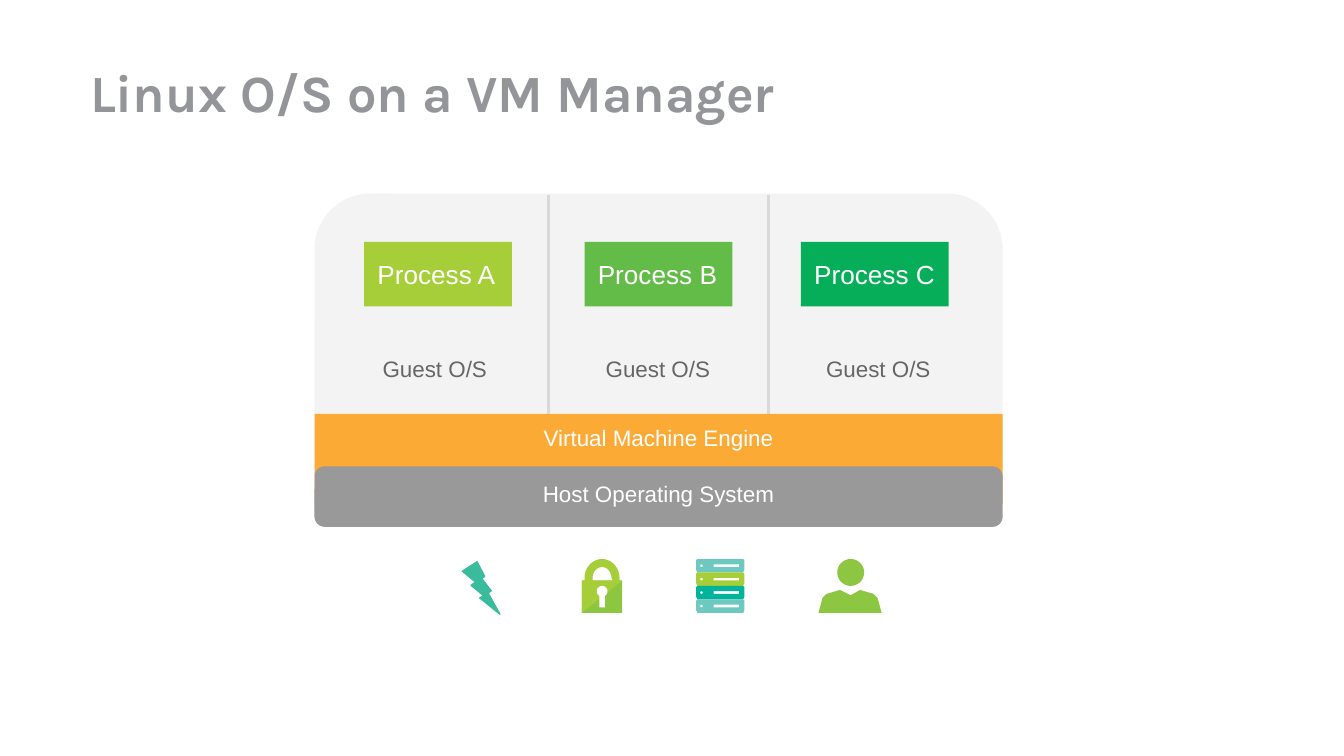
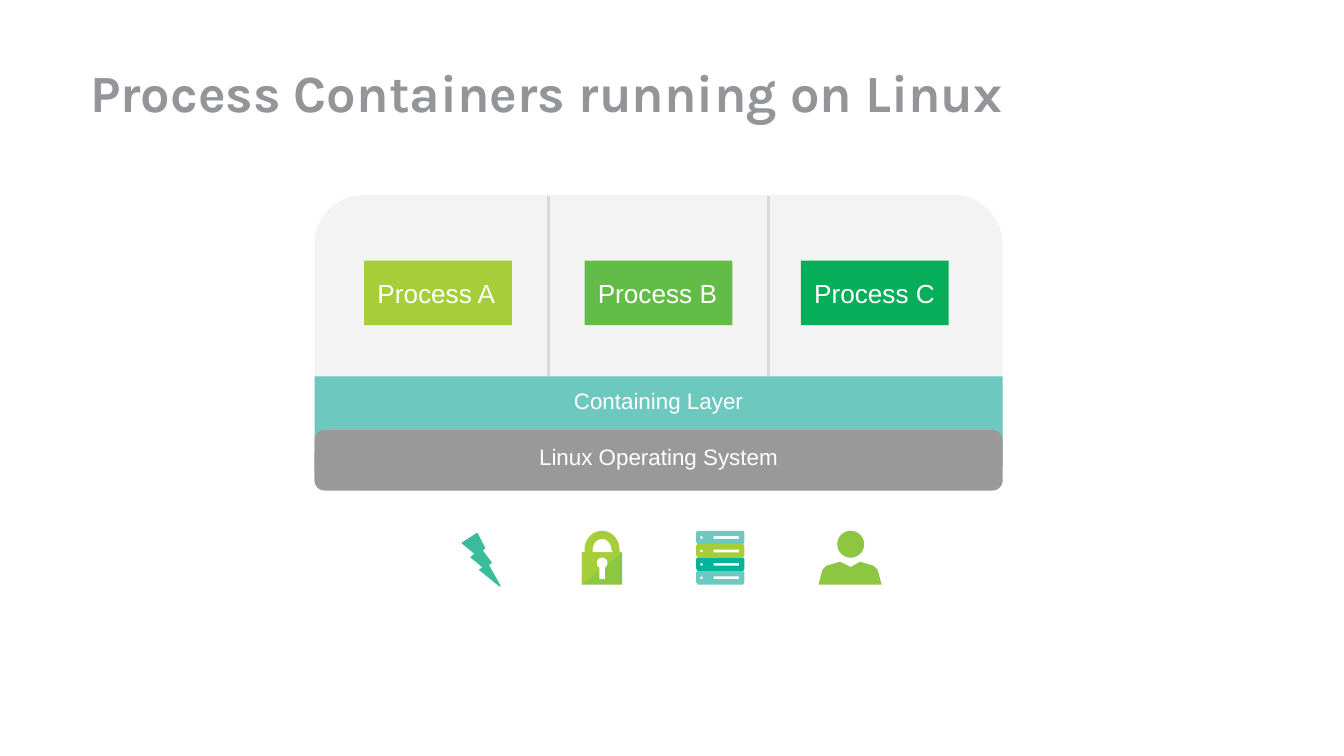
"""Build two slides comparing virtual machines with process containers."""
from dataclasses import dataclass
from math import cos, radians, sin

from lxml.etree import SubElement
from pptx import Presentation
from pptx.dml.color import RGBColor
from pptx.enum.shapes import MSO_CONNECTOR, MSO_SHAPE
from pptx.enum.text import MSO_ANCHOR, MSO_AUTO_SIZE, PP_ALIGN
from pptx.oxml.ns import qn
from pptx.shapes.autoshape import Shape
from pptx.slide import Slide
from pptx.text.text import TextFrame
from pptx.util import Inches, Pt

WHITE = "FFFFFF"
TITLE_GRAY = "939598"
PANEL = "F3F3F3"
DIVIDER = "D9D9D9"
HOST = "999999"
GUEST_TEXT = "666666"
LIME = "A5CE39"
GREEN = "63BC47"
EMERALD = "07AE59"
LEAF = "8DC640"
AQUA = "6DC8BF"
TEAL = "00B49C"
BOLT = "3ABB9C"
ORANGE = "FBAA36"

STACK_LEFT, STACK_WIDTH = 2.34, 5.12
HOST_HEIGHT = 0.45
DIVIDERS = (4.08, 5.72)
GUEST_LEFTS = (2.66, 4.32, 5.96)

Point = tuple[float, float]


@dataclass(frozen=True)
class Process:
    """A running process drawn as a coloured box."""
    name: str
    left: float
    color: str


@dataclass(frozen=True)
class Stack:
    """The content and vertical layout of one slide."""
    title: str
    top: float
    process_top: float
    layer_top: float
    host_top: float
    icon_top: float
    layer: str
    layer_color: str
    host: str
    guest: str = ""
    guest_top: float = 0


PROCESSES = (
    Process("Process A", 2.71, LIME),
    Process("Process B", 4.35, GREEN),
    Process("Process C", 5.96, EMERALD),
)

STACKS = (
    Stack("Linux O/S on a VM Manager", 1.44, 1.8, 3.08, 3.47, 4.16,
          "Virtual Machine Engine", ORANGE, "Host Operating System",
          "Guest O/S", 2.54),
    Stack("Process Containers running on Linux", 1.45, 1.94, 2.8, 3.2, 3.95,
          "Containing Layer", AQUA, "Linux Operating System"),
)


def rgb(color: str) -> RGBColor:
    """Turn a hex string into a colour."""
    return RGBColor.from_string(color)


def paint(sp: Shape, color: str) -> Shape:
    """Give a shape a flat fill with no line or shadow."""
    sp.shadow.inherit = False
    sp.fill.solid()
    sp.fill.fore_color.rgb = rgb(color)
    sp.line.fill.background()
    return sp


def write(tf: TextFrame, text: str, size: float, color: str,
          align: PP_ALIGN = PP_ALIGN.CENTER, font: str = "Arial",
          bold: bool = False, margin: float = 0.1) -> None:
    """Set the text of a frame and format it."""
    tf.text = text
    tf.margin_left = tf.margin_right = Inches(margin)
    tf.margin_top = tf.margin_bottom = Inches(margin)
    p = tf.paragraphs[0]
    p.alignment = align
    r = p.runs[0]
    r.font.name, r.font.size, r.font.bold = font, Pt(size), bold
    r.font.color.rgb = rgb(color)


def add_box(slide: Slide, kind: MSO_SHAPE, left: float, top: float,
            width: float, height: float, color: str) -> Shape:
    """Add a painted preset shape."""
    return paint(slide.shapes.add_shape(
        kind, Inches(left), Inches(top), Inches(width), Inches(height)), color)


def add_band(slide: Slide, top: float, height: float, color: str,
             rounding: float = 0.167) -> None:
    """Add a band as wide as the stack."""
    sp = add_box(slide, MSO_SHAPE.ROUNDED_RECTANGLE, STACK_LEFT, top,
                 STACK_WIDTH, height, color)
    sp.adjustments[0] = rounding


def add_label(slide: Slide, text: str, left: float, top: float, width: float,
              height: float, color: str) -> None:
    """Add a centred label."""
    tf = slide.shapes.add_textbox(
        Inches(left), Inches(top), Inches(width), Inches(height)).text_frame
    tf.word_wrap = True
    write(tf, text, 12, color)


def add_divider(slide: Slide, x: float, top: float, bottom: float) -> None:
    """Add a vertical line between two processes."""
    line = slide.shapes.add_connector(
        MSO_CONNECTOR.STRAIGHT, Inches(x), Inches(top), Inches(x), Inches(bottom))
    line.line.color.rgb = rgb(DIVIDER)
    line.line.width = Pt(1.5)
    SubElement(line._element.spPr, qn("a:effectLst"))


def arc(cx: float, cy: float, rx: float, ry: float,
        start: int = 0, end: int = 360) -> list[Point]:
    """Return points along an elliptical arc, angles in degrees."""
    return [(cx + rx * cos(radians(a)), cy + ry * sin(radians(a)))
            for a in range(start, end + 1, 10)]


def rect(left: float, top: float, right: float, bottom: float) -> list[Point]:
    """Return the corners of a rectangle."""
    return [(left, top), (right, top), (right, bottom), (left, bottom)]


def add_outline(slide: Slide, top: float, color: str,
                *contours: list[Point]) -> Shape:
    """Add a freeform of closed contours, with heights measured from top."""
    paths = [[(Inches(x), Inches(top + y)) for x, y in c] for c in contours]
    builder = slide.shapes.build_freeform(*paths[0][0], scale=1.0)
    builder.add_line_segments(paths[0][1:], close=True)
    for path in paths[1:]:
        builder.move_to(*path[0])
        builder.add_line_segments(path[1:], close=True)
    return paint(builder.convert_to_shape(), color)


def add_servers(slide: Slide, top: float) -> None:
    """Add a rack of four servers, each with a lamp and a slot."""
    body = [(5.19, 0), (5.53, 0), (5.54, 0.01), (5.54, 0.08),
            (5.53, 0.1), (5.19, 0.1), (5.18, 0.08), (5.18, 0.01)]
    lamp = arc(5.22, 0.05, 0.01, 0.01)
    slot = rect(5.31, 0.04, 5.5, 0.06)
    units = [add_outline(slide, top + 0.1 * i, color, body, lamp, slot)
             for i, color in enumerate((AQUA, LIME, TEAL, AQUA))]
    slide.shapes.add_group_shape(units)


def add_lock(slide: Slide, top: float) -> None:
    """Add a padlock with a lit upper-left half and a keyhole."""
    body = add_box(slide, MSO_SHAPE.RECTANGLE, 4.33, top + 0.16, 0.3, 0.24, LEAF)
    shackle = [(4.33, 0.16), (4.35, 0.16), *arc(4.48, 0.14, 0.13, 0.14, 180, 360),
               (4.61, 0.16), (4.63, 0.16), (4.33, 0.4)]
    gap = [(4.41, 0.16), *arc(4.48, 0.14, 0.07, 0.08, 180, 360), (4.56, 0.16)]
    keyhole = [*arc(4.48, 0.24, 0.04, 0.04, 120, 420), (4.5, 0.36), (4.46, 0.36)]
    slide.shapes.add_group_shape([
        body,
        add_outline(slide, top, LIME, shackle, gap),
        add_outline(slide, top, WHITE, keyhole),
    ])


def add_person(slide: Slide, top: float) -> None:
    """Add a head above shoulders."""
    shoulders = [(6.15, 0.26), (6.25, 0.23), (6.33, 0.27), (6.4, 0.23),
                 (6.5, 0.26), (6.53, 0.29), (6.56, 0.4), (6.09, 0.4), (6.12, 0.29)]
    add_outline(slide, top, LEAF, shoulders, arc(6.33, 0.1, 0.1, 0.1))


def add_bolt(slide: Slide, top: float) -> None:
    """Add a lightning bolt."""
    sp = add_box(slide, MSO_SHAPE.LIGHTNING_BOLT, 3.44, top + 0.02, 0.28, 0.39, BOLT)
    sp.line.color.rgb = rgb(BOLT)
    sp.line.width = Pt(0.75)


def add_title(slide: Slide, text: str) -> None:
    """Place and format the slide title."""
    sp = slide.shapes.title
    sp.left, sp.top = Inches(0.67), Inches(0.45)
    sp.width, sp.height = Inches(7.42), Inches(0.85)
    tf = sp.text_frame
    tf.auto_size = MSO_AUTO_SIZE.NONE
    tf.vertical_anchor = MSO_ANCHOR.TOP
    write(tf, text, 28, TITLE_GRAY, PP_ALIGN.LEFT, "Karla", True, 0)


def add_process(slide: Slide, process: Process, top: float) -> None:
    """Add the box of one process."""
    sp = add_box(slide, MSO_SHAPE.RECTANGLE, process.left, top, 1.1, 0.48,
                 process.color)
    tf = sp.text_frame
    tf.word_wrap = False
    tf.vertical_anchor = MSO_ANCHOR.MIDDLE
    write(tf, process.name, 14, WHITE, PP_ALIGN.LEFT)


def draw_stack(slide: Slide, stack: Stack) -> None:
    """Draw a whole slide."""
    add_title(slide, stack.title)
    add_band(slide, stack.top, stack.host_top + HOST_HEIGHT - stack.top, PANEL)
    for x in DIVIDERS:
        add_divider(slide, x, stack.top + 0.01, stack.layer_top)
    add_band(slide, stack.layer_top, 0.67, stack.layer_color, 0)
    for process in PROCESSES:
        add_process(slide, process, stack.process_top)
    add_band(slide, stack.host_top, HOST_HEIGHT, HOST)
    add_label(slide, stack.host, 3.59, stack.host_top, 2.62, HOST_HEIGHT, WHITE)
    add_label(slide, stack.layer, 3.59, stack.layer_top - 0.02, 2.62, 0.4, WHITE)
    if stack.guest:
        for left in GUEST_LEFTS:
            add_label(slide, stack.guest, left, stack.guest_top, 1.15, 0.45,
                      GUEST_TEXT)
    for add_icon in (add_servers, add_lock, add_person, add_bolt):
        add_icon(slide, stack.icon_top)


def main() -> None:
    """Build and save the presentation."""
    prs = Presentation()
    prs.slide_width = Inches(10)
    prs.slide_height = Inches(10) * 9 // 16
    for stack in STACKS:
        draw_stack(prs.slides.add_slide(prs.slide_layouts[5]), stack)
    prs.save("out.pptx")


if __name__ == "__main__":
    main()
